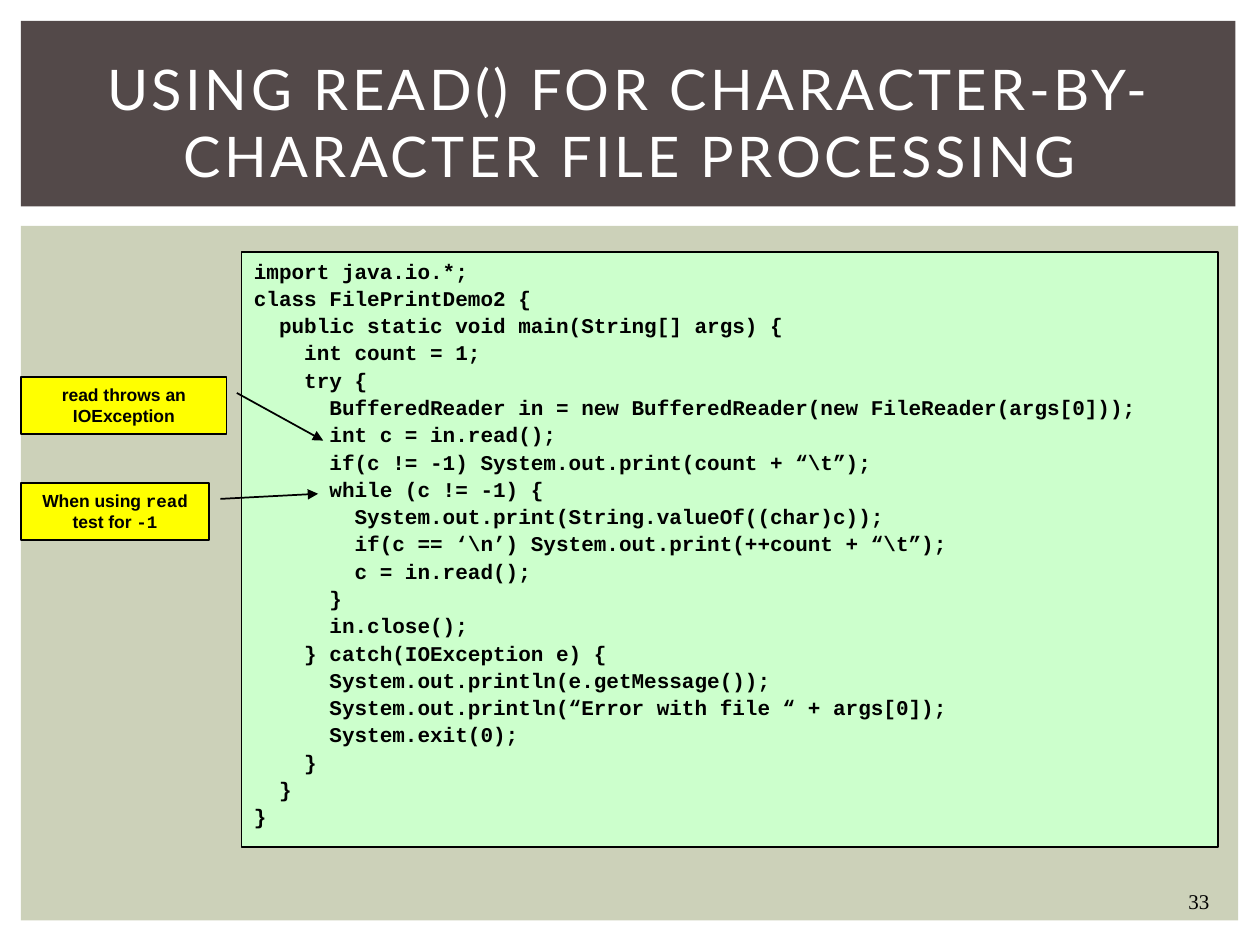
"""Build a slide on reading a file character by character, with annotated code."""
from dataclasses import dataclass
from typing import Any, Optional

from lxml.etree import SubElement
from pptx import Presentation
from pptx.dml.color import RGBColor
from pptx.enum.shapes import MSO_SHAPE
from pptx.enum.text import MSO_ANCHOR, PP_ALIGN
from pptx.oxml.ns import qn
from pptx.util import Pt

BLACK = RGBColor(0x00, 0x00, 0x00)
WHITE = RGBColor(0xFF, 0xFF, 0xFF)
SAGE = RGBColor(0xCC, 0xD1, 0xB9)
BROWN = RGBColor(0x53, 0x49, 0x49)
MINT = RGBColor(0xCC, 0xFF, 0xCC)
YELLOW = RGBColor(0xFF, 0xFF, 0x00)

TITLE_FONT = {"name": "Lato", "size": Pt(32), "bold": False}
CODE_FONT = {"name": "Courier New", "size": Pt(12), "bold": True}
NOTE_FONT = {"name": "Arial", "size": Pt(10), "bold": True}
NOTE_CODE_FONT = {**NOTE_FONT, "name": "Courier New"}
NUMBER_FONT = {"name": "Times New Roman", "size": Pt(12)}

CODE = r"""import java.io.*;
class FilePrintDemo2 {
  public static void main(String[] args) {
    int count = 1;
    try {
      BufferedReader in = new BufferedReader(new FileReader(args[0]));
      int c = in.read();
      if(c != -1) System.out.print(count + “\t”);
      while (c != -1) {
        System.out.print(String.valueOf((char)c));
        if(c == ‘\n’) System.out.print(++count + “\t”);
        c = in.read();
      }
      in.close();
    } catch(IOException e) {
      System.out.println(e.getMessage());
      System.out.println(“Error with file “ + args[0]);
      System.exit(0);
    }
  }
}"""


@dataclass(frozen=True)
class Box:
    left: float
    top: float
    width: float
    height: float

    def lengths(self) -> tuple:
        return Pt(self.left), Pt(self.top), Pt(self.width), Pt(self.height)


@dataclass(frozen=True)
class Callout:
    box: Box
    pointer: tuple
    lines: list


CALLOUTS = [
    Callout(Box(12, 276, 107.5, 32.4), (0.28, 1.06, 0.19, 1.58),
            [[("When using ", NOTE_FONT), ("read", NOTE_CODE_FONT)],
             [("test for ", NOTE_FONT), ("-1", NOTE_CODE_FONT)]]),
    Callout(Box(12, 215.5, 117.5, 32.4), (0.28, 1.05, 1.12, 1.47),
            [[("read throws an IOException", NOTE_FONT)]]),
]


def set_attributes(target: Any, values: dict) -> None:
    for name, value in values.items():
        setattr(target, name, value)


def write_lines(shape: Any, lines: list, paragraph_format: dict,
                color: RGBColor = BLACK, anchor: MSO_ANCHOR = MSO_ANCHOR.TOP) -> None:
    frame = shape.text_frame
    set_attributes(frame, {"word_wrap": True, "vertical_anchor": anchor})
    for index, line in enumerate(lines):
        paragraph = frame.add_paragraph() if index else frame.paragraphs[0]
        set_attributes(paragraph, paragraph_format)
        for text, font_format in line:
            run = paragraph.add_run()
            run.text = text
            set_attributes(run.font, font_format)
            run.font.color.rgb = color


def add_filled_shape(slide: Any, kind: MSO_SHAPE, box: Box, fill: RGBColor,
                     outline: Optional[RGBColor] = None) -> Any:
    shape = slide.shapes.add_shape(kind, *box.lengths())
    shape.shadow.inherit = False
    shape.fill.solid()
    shape.fill.fore_color.rgb = fill
    if outline is None:
        shape.line.fill.background()
    else:
        shape.line.color.rgb = outline
        shape.line.width = Pt(1)
    return shape


def add_callout(slide: Any, callout: Callout) -> None:
    shape = add_filled_shape(slide, MSO_SHAPE.LINE_CALLOUT_1, callout.box, YELLOW, BLACK)
    for index, value in enumerate(callout.pointer):
        shape.adjustments[index] = value
    SubElement(shape.line._get_or_add_ln(), qn("a:tailEnd"), type="triangle")
    write_lines(shape, callout.lines, {"alignment": PP_ALIGN.CENTER},
                anchor=MSO_ANCHOR.MIDDLE)


def place_title(slide: Any, text: str, box: Box) -> None:
    title = slide.shapes.title
    set_attributes(title, dict(zip(("left", "top", "width", "height"), box.lengths())))
    write_lines(title, [[(text, TITLE_FONT)]], {"alignment": PP_ALIGN.CENTER},
                WHITE, MSO_ANCHOR.MIDDLE)
    title.text_frame.paragraphs[0].runs[0]._r.get_or_add_rPr().set("spc", "200")
    slide.shapes._spTree.append(title._element)


def main() -> None:
    presentation = Presentation()
    set_attributes(presentation, {"slide_width": Pt(720), "slide_height": Pt(540)})
    slide = presentation.slides.add_slide(presentation.slide_layouts[5])

    add_filled_shape(slide, MSO_SHAPE.RECTANGLE, Box(12, 129, 695.5, 397), SAGE)
    add_filled_shape(slide, MSO_SHAPE.RECTANGLE, Box(12, 12, 694, 106), BROWN)

    number = slide.shapes.add_textbox(*Box(672, 504, 30, 21.6).lengths())
    write_lines(number, [[("33", NUMBER_FONT)]], {"alignment": PP_ALIGN.LEFT})

    listing = add_filled_shape(slide, MSO_SHAPE.RECTANGLE, Box(138, 144, 558, 340),
                               MINT, BLACK)
    write_lines(listing, [[(line, CODE_FONT)] for line in CODE.splitlines()],
                {"alignment": PP_ALIGN.LEFT, "space_before": Pt(1.2)})

    place_title(slide, "USING READ() FOR CHARACTER-BY-CHARACTER FILE PROCESSING",
                Box(30, 28, 660, 83))
    for callout in CALLOUTS:
        add_callout(slide, callout)

    presentation.save("out.pptx")


if __name__ == "__main__":
    main()
